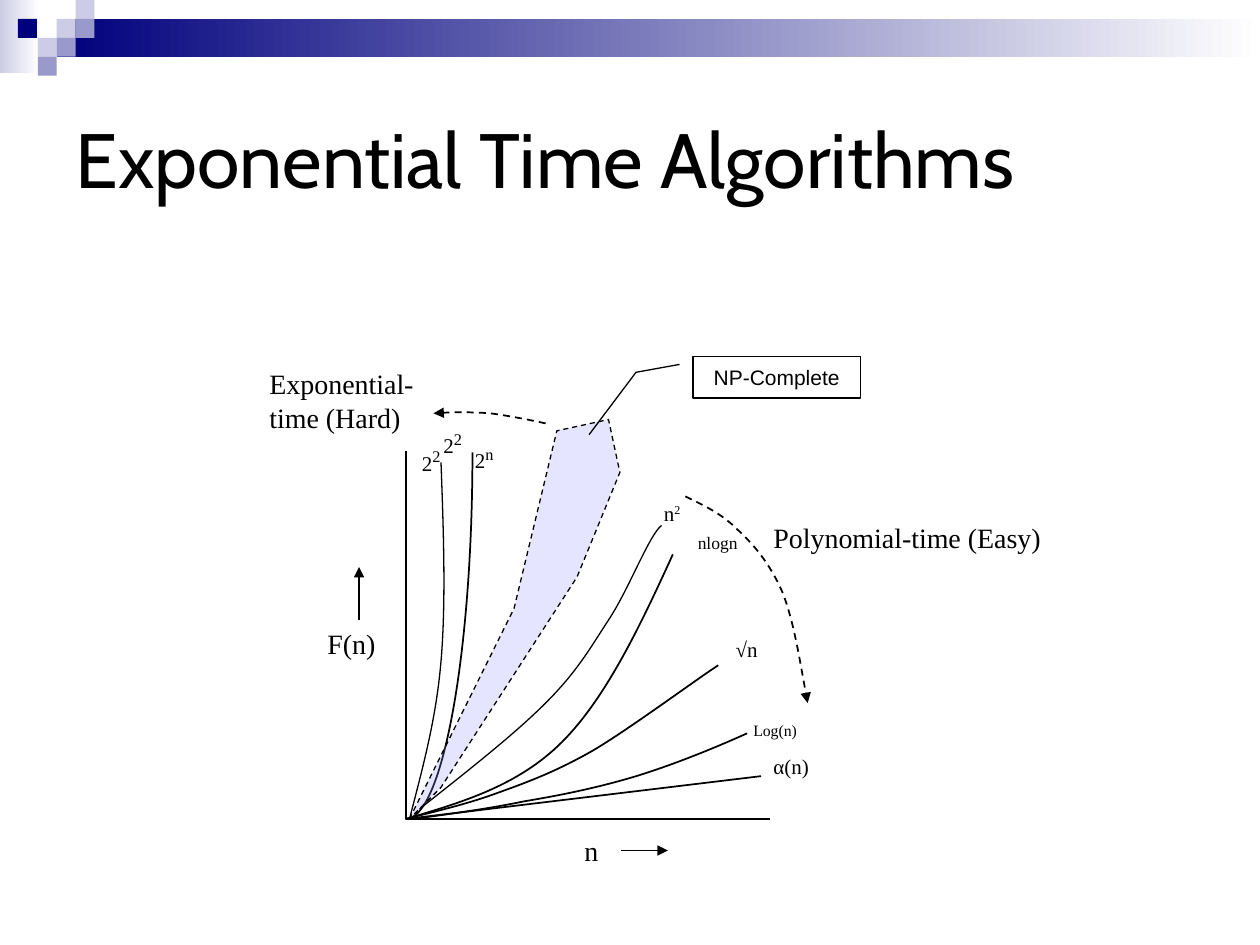
from dataclasses import dataclass

import pptx
import pptx.util
import pptx.dml.color
import pptx.enum.dml
import pptx.enum.shapes
import pptx.enum.text
import pptx.oxml
import pptx.oxml.ns
from lxml import etree

RGB = pptx.dml.color.RGBColor
BLACK = RGB(0x00, 0x00, 0x00)
WHITE = RGB(0xFF, 0xFF, 0xFF)
NAVY = RGB(0x00, 0x00, 0x7D)
LILAC = RGB(0xCC, 0xCC, 0xE6)
VIOLET = RGB(0x99, 0x99, 0xCC)
PERIWINKLE = RGB(0x99, 0x99, 0xFF)
SERIF = "Times New Roman"
RECTANGLE = pptx.enum.shapes.MSO_SHAPE.RECTANGLE

ORIGIN = (12.2, 40)
AXES = [(12.2, 10.8), (41.1, 40)]
ALPHA_END = (40.4, 36.6)
DIRECTION_ARROWS = [((29.3, 42.5), (33, 42.5)), ((8.5, 24.2), (8.5, 20))]

GROWTH_CURVES = [
    (1, [ORIGIN, (15.1, 40), (17.5, 27), (17.5, 10.9)]),
    (1, [(12.8, 40), (15.7, 39.6), (18.7, 39.2), (21.6, 38.6), (24.6, 38.1),
         (27.5, 37.5), (30.5, 36.6), (33.4, 35.7), (36.4, 34.5), (39.3, 33.2)]),
    (1, [ORIGIN, (14.5, 39.4), (16.8, 38.9), (19.3, 38), (21.8, 37.1),
         (24, 36.3), (27, 34.6), (29.9, 32.9), (35.3, 28.9), (37, 27.8)]),
    (1, [ORIGIN, (16.6, 38.7), (21.1, 37.4), (24.6, 33.9), (28.1, 30.4),
         (30.8, 24.7), (33.4, 19)]),
    (0.75, [(12.5, 40), (13.5, 36.1), (14.6, 32.2), (15, 27.5), (15.4, 22.8),
            (15.2, 17.2), (15, 11.7)]),
    (0.75, [(13.3, 39.2), (17.1, 36.2), (20.8, 33.3), (23.3, 30.8), (25.8, 28.3),
            (26.8, 26.5), (28.3, 24.2), (29.9, 21.8), (31.5, 17.5), (32.5, 16.7)]),
]
EASY_SWEEP = [(34.4, 14.4), (35.8, 15.1), (37.2, 15.7), (38.5, 17), (39.8, 18.2),
              (41.1, 19.7), (42.1, 22), (43, 24.3), (43.5, 27.6), (44.1, 30.8)]
HARD_SWEEP = [(23.3, 8.6), (21.9, 8.3), (20.4, 8), (18.9, 7.8), (17.4, 7.7),
              (15.9, 7.7), (14.4, 7.8)]
NP_REGION = [(12.5, 40), (20.8, 23.3), (24.2, 9.2), (28.3, 8.3), (29.2, 12.5),
             (25.8, 20.8), (15, 37.5)]

LABELS = [
    ((16.7, 9.5, 5.8, 3.7), [("2", 12), ("n", 16)]),
    ((34.4, 16.7, 6.4, 2.7), [("nlogn", 10)]),
    ((37.4, 25, 4.4, 3), [("√n", 12)]),
    ((38.8, 31.7, 7.8, 2.5), [("Log(n)", 9)]),
    ((40.4, 34.3, 7.1, 3), [("α(n)", 12)]),
    ((40.4, 15.8, 29.6, 3.7), [("Polynomial-time (Easy)", 16)]),
    ((0.4, 3.6, 16.3, 6.4), [("Exponential-time (Hard)", 16)]),
    ((25.4, 40.7, 3.7, 3.7), [("n", 16)]),
    ((5, 24.2, 7.2, 3.7), [("F(n)", 16)]),
    ((12.5, 9.7, 5.8, 3.7), [("2", 12), ("2", 16)]),
    ((14.2, 8.3, 5.8, 3.7), [("2", 12), ("2", 16)]),
    ((31.7, 14.2, 4.4, 3), [("n", 12), ("2", 12)]),
]


@dataclass
class Box:
    """A region of the slide divided into columns and rows."""
    left: int
    top: int
    width: int
    height: int
    columns: float
    rows: float

    def point(self, column, row):
        """Return the slide position of a grid point."""
        return (round(self.left + self.width * column / self.columns),
                round(self.top + self.height * row / self.rows))

    def area(self, column, row, across, down):
        """Return left, top, width and height of a grid area."""
        return (*self.point(column, row), round(self.width * across / self.columns),
                round(self.height * down / self.rows))


def style_font(font, size, name):
    """Set the size, typeface and black colour of a font."""
    font.size, font.name = pptx.util.Pt(size), name
    font.color.rgb = BLACK


def style_line(line, weight, dashed=False, arrow=False):
    """Draw a black line, optionally dashed or ending in an arrowhead."""
    line.color.rgb = BLACK
    line.width = pptx.util.Pt(weight)
    if dashed:
        line.dash_style = pptx.enum.dml.MSO_LINE.DASH
    if arrow:
        head = etree.SubElement(line._get_or_add_ln(), pptx.oxml.ns.qn("a:tailEnd"))
        head.set("type", "triangle")


def add_segment(slide, box, start, end, arrow=False):
    """Join two grid points with a straight line."""
    segment = slide.shapes.add_connector(
        pptx.enum.shapes.MSO_CONNECTOR.STRAIGHT, *box.point(*start), *box.point(*end))
    style_line(segment.line, 1, arrow=arrow)
    etree.SubElement(segment._element.spPr, pptx.oxml.ns.qn("a:effectLst"))


def add_outline(slide, box, points, closed=False):
    """Build a polygonal outline through grid points."""
    corners = [box.point(*point) for point in points]
    builder = slide.shapes.build_freeform(*corners[0])
    builder.add_line_segments(corners[1:], close=closed)
    outline = builder.convert_to_shape()
    outline.shadow.inherit = False
    return outline


def add_curve(slide, box, points, weight, dashed=False, arrow=False):
    """Draw cubic curves from a start point and triples of control points."""
    curve = add_outline(slide, box, points)
    curve.fill.background()
    style_line(curve.line, weight, dashed, arrow)
    track = curve._element.xpath(".//a:path")[0]
    steps = track.findall(pptx.oxml.ns.qn("a:lnTo"))
    for first in range(0, len(steps), 3):
        bend = etree.SubElement(track, pptx.oxml.ns.qn("a:cubicBezTo"))
        for step in steps[first:first + 3]:
            bend.append(step[0])
            track.remove(step)


def add_label(slide, area, parts):
    """Write a label whose second part, if any, is a superscript."""
    frame = slide.shapes.add_textbox(*area).text_frame
    frame.word_wrap = True
    frame.auto_size = pptx.enum.text.MSO_AUTO_SIZE.SHAPE_TO_FIT_TEXT
    for index, (wording, size) in enumerate(parts):
        run = frame.paragraphs[0].add_run()
        run.text = wording
        style_font(run.font, size, SERIF)
        if index:
            run.font._element.set("baseline", "30000")


def add_banner(slide, box):
    """Place the gradient bars and the checkered squares."""
    bars = [((0, 0, 2.07, 3.87), LILAC), ((3, 1, box.columns - 3, 2), NAVY)]
    squares = [(3, 1, LILAC), (4, 0, LILAC), (4, 1, VIOLET), (2, 2, LILAC),
               (0.95, 1, NAVY), (3, 2, VIOLET), (2, 3, VIOLET)]
    tiles = bars + [((column, row, 1, 1), color) for column, row, color in squares]
    for index, (area, color) in enumerate(tiles):
        tile = slide.shapes.add_shape(RECTANGLE, *box.area(*area))
        tile.shadow.inherit = False
        tile.line.fill.background()
        if index < len(bars):
            tile.fill.gradient()
            tile.fill.gradient_angle = 180
            for stop, shade in zip(tile.fill.gradient_stops, (WHITE, color)):
                stop.color.rgb = shade
        else:
            tile.fill.solid()
            tile.fill.fore_color.rgb = color


def add_title(slide, box):
    """Write the slide title across its box."""
    frame = slide.shapes.add_textbox(*box.area(0, 0, 1, 1)).text_frame
    frame.word_wrap = True
    frame.vertical_anchor = pptx.enum.text.MSO_ANCHOR.MIDDLE
    frame.text = "Exponential Time Algorithms"
    style_font(frame.paragraphs[0].runs[0].font, 44, "Cabin")


def add_np_complete(slide, box):
    """Shade the NP-Complete region and attach its callout."""
    region = add_outline(slide, box, NP_REGION, closed=True)
    region.fill.solid()
    region.fill.fore_color.rgb = PERIWINKLE
    tint = region._element.xpath("./p:spPr/a:solidFill/a:srgbClr")[0]
    etree.SubElement(tint, pptx.oxml.ns.qn("a:alpha")).set("val", "25000")
    style_line(region.line, 0.75, dashed=True)

    callout = slide.shapes.add_shape(
        pptx.enum.shapes.MSO_SHAPE.LINE_CALLOUT_2, *box.area(35, 3.3, 13.3, 3.3))
    for index, share in enumerate((0.19, -0.08, 0.38, -0.34, 1.88, -0.62)):
        callout.adjustments[index] = share
    callout.shadow.inherit = False
    callout.fill.background()
    style_line(callout.line, 0.75)
    callout.text_frame.text = "NP-Complete"
    caption = callout.text_frame.paragraphs[0]
    caption.alignment = pptx.enum.text.PP_ALIGN.CENTER
    style_font(caption.runs[0].font, 12, "Arial")


def add_growth_plot(slide, box):
    """Draw the axes, growth curves, labels and NP-Complete region."""
    for end in AXES + [ALPHA_END]:
        add_segment(slide, box, ORIGIN, end)
    for weight, points in GROWTH_CURVES:
        add_curve(slide, box, points, weight)
    for sweep in (EASY_SWEEP, HARD_SWEEP):
        add_curve(slide, box, sweep, 1, dashed=True, arrow=True)
    for start, end in DIRECTION_ARROWS:
        add_segment(slide, box, start, end, arrow=True)
    add_np_complete(slide, box)
    for area, parts in LABELS:
        add_label(slide, box.area(*area), parts)


def main():
    """Build the slide and save it."""
    deck = pptx.Presentation()
    deck.slide_width, deck.slide_height = pptx.util.Inches(10), pptx.util.Inches(7.5)
    slide = deck.slides.add_slide(deck.slide_layouts[6])
    page = Box(0, 0, deck.slide_width, deck.slide_height, 100, 75)
    add_banner(slide, Box(*page.area(0, 0, 100, 6), 10 / 0.15, 4))
    add_title(slide, Box(*page.area(5, 5, 90, 15), 1, 1))
    add_growth_plot(slide, Box(*page.area(20, 25, 70, 45), 70, 45))
    deck.save("out.pptx")


if __name__ == "__main__":
    main()
